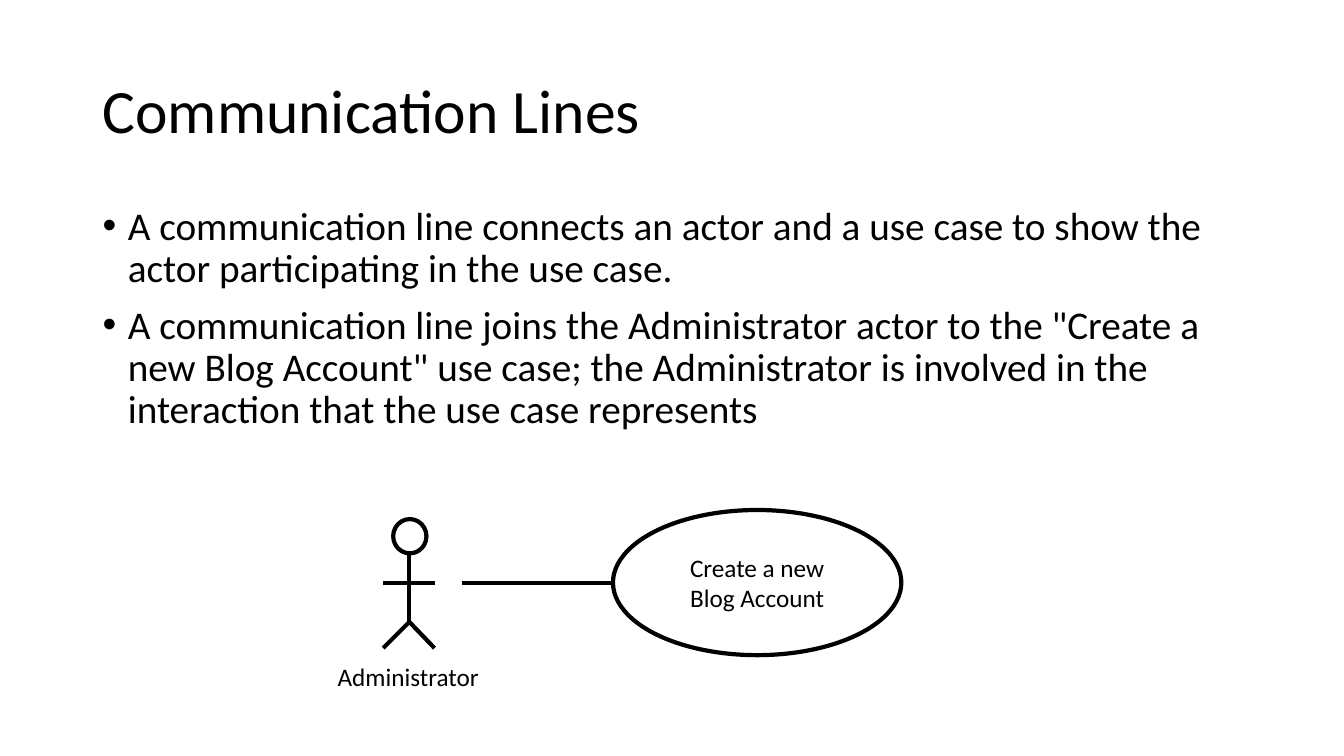
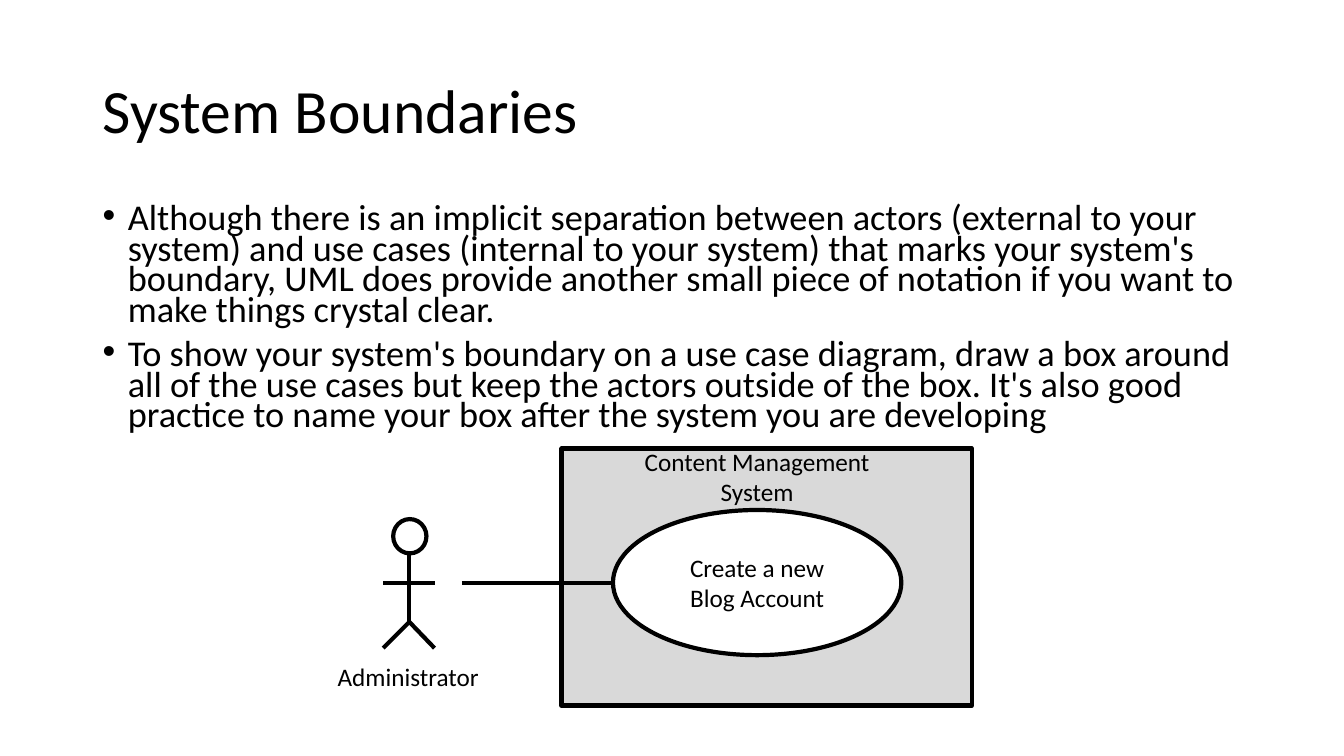
from dataclasses import dataclass

from lxml import etree
from pptx import Presentation
from pptx.dml.color import RGBColor
from pptx.enum.shapes import MSO_CONNECTOR, MSO_SHAPE
from pptx.enum.text import MSO_ANCHOR, MSO_AUTO_SIZE, PP_ALIGN
from pptx.oxml.ns import qn
from pptx.shapes.autoshape import Shape
from pptx.shapes.shapetree import GroupShapes, SlideShapes
from pptx.slide import Slide
from pptx.text.text import TextFrame, _Paragraph
from pptx.util import Inches, Pt

BLACK = RGBColor(0x00, 0x00, 0x00)
WHITE = RGBColor(0xFF, 0xFF, 0xFF)
GREY = RGBColor(0xD9, 0xD9, 0xD9)
FONT = "Calibri"
LINE_WIDTH = Pt(3)
LABEL_SIZE = 18
BULLET_INDENT = Inches(0.25)

OVAL, RECTANGLE = MSO_SHAPE.OVAL, MSO_SHAPE.RECTANGLE
STRAIGHT = MSO_CONNECTOR.STRAIGHT
LEFT, CENTER = PP_ALIGN.LEFT, PP_ALIGN.CENTER
TOP, MIDDLE = MSO_ANCHOR.TOP, MSO_ANCHOR.MIDDLE
FIT_SHAPE = MSO_AUTO_SIZE.SHAPE_TO_FIT_TEXT


@dataclass(frozen=True)
class Box:
    left: float
    top: float
    width: float
    height: float

    def lengths(self) -> list[int]:
        return [Inches(value) for value in (self.left, self.top, self.width, self.height)]


@dataclass(frozen=True)
class Segment:
    start_x: float
    start_y: float
    end_x: float
    end_y: float


@dataclass(frozen=True)
class Topic:
    title: str
    bullets: tuple[str, ...]
    text_size: float
    line_spacing: float
    system_name: tuple[str, ...] = ()


TITLE_BOX = Box(0.92, 0.4, 11.5, 1.45)
BODY_BOX = Box(0.92, 2, 11.5, 2.5)
HEAD_BOX = Box(3.9, 5.15, 0.33, 0.34)
ACTOR_NAME_BOX = Box(3.25, 6.51, 1.61, 0.4)
USE_CASE_BOX = Box(6.08, 5.06, 2.86, 1.44)
SYSTEM_BOX = Box(5.57, 4.45, 4.07, 2.55)
SYSTEM_NAME_BOX = Box(6.28, 4.38, 2.46, 0.71)

SPINE_X, ARM_Y, HIP_Y, FOOT_Y = 4.06, 5.78, 6.17, 6.43
LEFT_LIMB_X, RIGHT_LIMB_X = 3.8, 4.31
LIMBS = (
    Segment(SPINE_X, 5.5, SPINE_X, HIP_Y),
    Segment(LEFT_LIMB_X, ARM_Y, RIGHT_LIMB_X, ARM_Y),
    Segment(SPINE_X, HIP_Y, LEFT_LIMB_X, FOOT_Y),
    Segment(SPINE_X, HIP_Y, RIGHT_LIMB_X, FOOT_Y),
)
COMMUNICATION_LINE = Segment(4.58, ARM_Y, USE_CASE_BOX.left, ARM_Y)

TOPICS = (
    Topic(
        "Communication Lines",
        (
            "A communication line connects an actor and a use case to show the "
            "actor participating in the use case.",
            "A communication line joins the Administrator actor to the \"Create a "
            "new Blog Account\" use case; the Administrator is involved in the "
            "interaction that the use case represents",
        ),
        text_size=28,
        line_spacing=0.9,
    ),
    Topic(
        "System Boundaries",
        (
            "Although there is an implicit separation between actors (external to your "
            "system) and use cases (internal to your system) that marks your system's "
            "boundary, UML does provide another small piece of notation if you want to "
            "make things crystal clear.",
            "To show your system's boundary on a use case diagram, draw a box around "
            "all of the use cases but keep the actors outside of the box. It's also good "
            "practice to name your box after the system you are developing",
        ),
        text_size=25.9,
        line_spacing=0.7,
        system_name=("Content Management", "System"),
    ),
)


def write_lines(frame: TextFrame, lines: tuple[str, ...], size: float,
                alignment: PP_ALIGN = LEFT) -> list[_Paragraph]:
    """Write one paragraph per line and return the paragraphs."""
    paragraphs = [frame.paragraphs[0]] + [frame.add_paragraph() for _ in lines[1:]]
    for paragraph, line in zip(paragraphs, lines):
        paragraph.alignment = alignment
        run = paragraph.add_run()
        run.text = line
        run.font.name = FONT
        run.font.size = Pt(size)
        run.font.color.rgb = BLACK
    return paragraphs


def add_bullet(paragraph: _Paragraph) -> None:
    properties = paragraph._p.get_or_add_pPr()
    properties.set("marL", str(BULLET_INDENT))
    properties.set("indent", str(-BULLET_INDENT))
    etree.SubElement(properties, qn("a:buFont"), typeface="Arial")
    etree.SubElement(properties, qn("a:buChar"), char="•")


def add_text_frame(slide: Slide, box: Box, anchor: MSO_ANCHOR = TOP) -> TextFrame:
    frame = slide.shapes.add_textbox(*box.lengths()).text_frame
    frame.word_wrap = True
    frame.vertical_anchor = anchor
    return frame


def add_title(slide: Slide, title: str) -> None:
    frame = add_text_frame(slide, TITLE_BOX, MIDDLE)
    write_lines(frame, (title,), 44)[0].line_spacing = 0.9


def add_body(slide: Slide, topic: Topic) -> None:
    frame = add_text_frame(slide, BODY_BOX)
    paragraphs = write_lines(frame, topic.bullets, topic.text_size)
    for index, paragraph in enumerate(paragraphs):
        add_bullet(paragraph)
        paragraph.line_spacing = topic.line_spacing
        paragraph.space_before = Pt(10 if index else 0)


def add_label(slide: Slide, box: Box, lines: tuple[str, ...],
              alignment: PP_ALIGN = LEFT) -> None:
    frame = add_text_frame(slide, box)
    frame.word_wrap = False
    frame.auto_size = FIT_SHAPE
    write_lines(frame, lines, LABEL_SIZE, alignment)


def add_outlined_shape(shapes: SlideShapes | GroupShapes, kind: MSO_SHAPE, box: Box,
                       fill: RGBColor = WHITE) -> Shape:
    shape = shapes.add_shape(kind, *box.lengths())
    shape.shadow.inherit = False
    shape.fill.solid()
    shape.fill.fore_color.rgb = fill
    shape.line.color.rgb = BLACK
    shape.line.width = LINE_WIDTH
    return shape


def add_line(shapes: SlideShapes | GroupShapes, segment: Segment) -> None:
    line = shapes.add_connector(
        STRAIGHT, Inches(segment.start_x), Inches(segment.start_y),
        Inches(segment.end_x), Inches(segment.end_y))
    line.line.color.rgb = BLACK
    line.line.width = LINE_WIDTH
    etree.SubElement(line._element.spPr, qn("a:effectLst"))


def add_actor(slide: Slide) -> None:
    figure = slide.shapes.add_group_shape().shapes
    add_outlined_shape(figure, OVAL, HEAD_BOX)
    for limb in LIMBS:
        add_line(figure, limb)


def add_use_case(slide: Slide) -> None:
    frame = add_outlined_shape(slide.shapes, OVAL, USE_CASE_BOX).text_frame
    frame.word_wrap = True
    frame.vertical_anchor = MIDDLE
    write_lines(frame, ("Create a new Blog Account",), LABEL_SIZE, CENTER)


def add_diagram(slide: Slide, system_name: tuple[str, ...]) -> None:
    """Draw the use case diagram, with a system boundary if it has a name."""
    add_actor(slide)
    if system_name:
        add_outlined_shape(slide.shapes, RECTANGLE, SYSTEM_BOX, GREY)
    add_use_case(slide)
    add_line(slide.shapes, COMMUNICATION_LINE)
    add_label(slide, ACTOR_NAME_BOX, ("Administrator",))
    if system_name:
        add_label(slide, SYSTEM_NAME_BOX, system_name, CENTER)


def main() -> None:
    presentation = Presentation()
    presentation.slide_width = Inches(13.33)
    presentation.slide_height = Inches(7.5)
    blank_layout = presentation.slide_layouts[6]
    for topic in TOPICS:
        slide = presentation.slides.add_slide(blank_layout)
        add_title(slide, topic.title)
        add_body(slide, topic)
        add_diagram(slide, topic.system_name)
    presentation.save("out.pptx")


if __name__ == "__main__":
    main()
